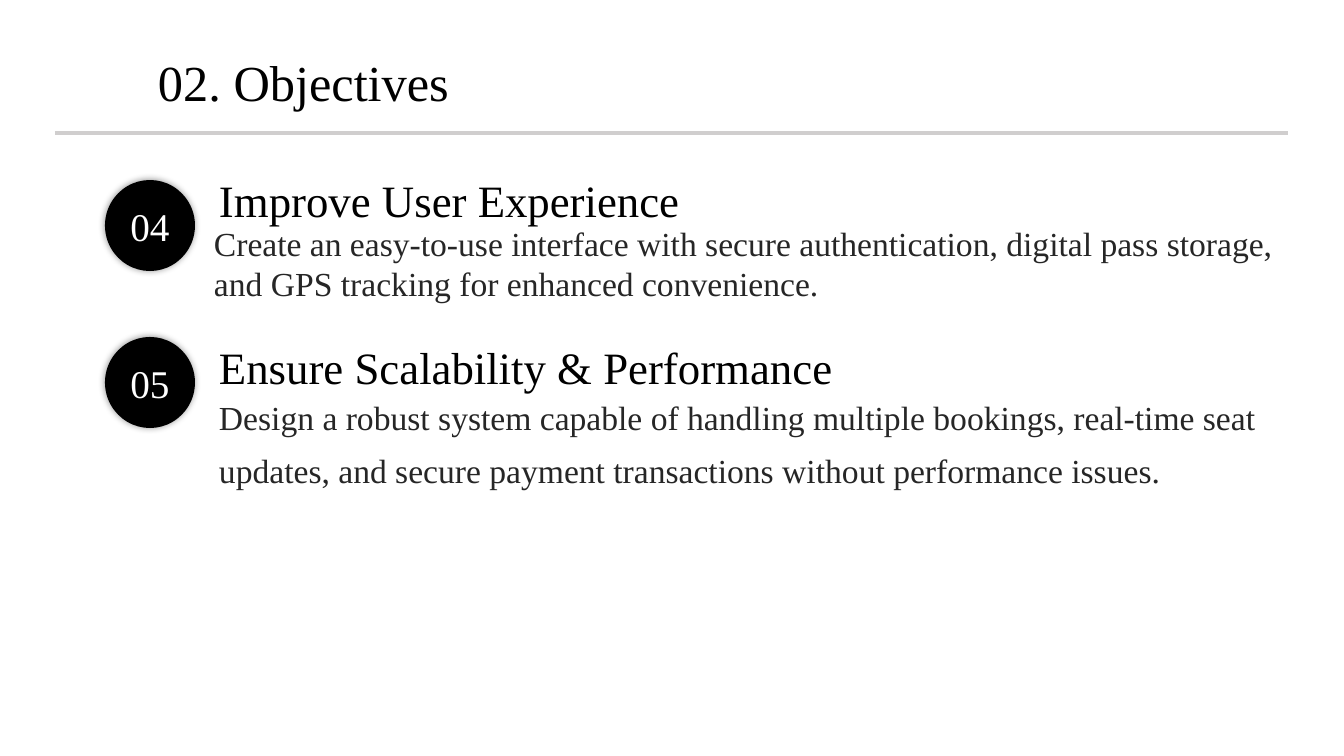
"""Build the objectives slide with its numbered goals."""
from lxml import etree
from pptx import Presentation
from pptx import util as u
from pptx.dml.color import RGBColor
from pptx.enum import shapes, text
from pptx.oxml.ns import qn

HEADING = "02. Objectives"
GOALS = [
    {"number": "04", "name": "Improve User Experience",
     "detail": "Create an easy-to-use interface with secure authentication, "
               "digital pass storage, and GPS tracking for enhanced convenience.",
     "badge_top": 180, "name_top": 168, "detail_at": (204, 218), "spacing": 1.0},
    {"number": "05", "name": "Ensure Scalability & Performance",
     "detail": "Design a robust system capable of handling multiple bookings, "
               "real-time seat updates, and secure payment transactions "
               "without performance issues.",
     "badge_top": 337, "name_top": 335, "detail_at": (209, 380), "spacing": 1.3},
]
BLACK, WHITE, GREY, RULE = "000000", "FFFFFF", "262626", "D0CECE"
SCALE = 12192000 / 1344


def px(length):
    """Turn px into EMU."""
    return u.Emu(round(length * SCALE))


def color(code):
    """Turn a hex string into a colour."""
    return RGBColor.from_string(code)


def write(shape, words, size, ink, spacing=1.0, centred=False):
    """Put one formatted paragraph into a shape."""
    frame = shape.text_frame
    margin = 0 if centred else px(10)
    anchor = text.MSO_ANCHOR.MIDDLE if centred else text.MSO_ANCHOR.TOP
    formats = {"word_wrap": True, "auto_size": text.MSO_AUTO_SIZE.NONE,
               "vertical_anchor": anchor,
               "margin_left": margin, "margin_right": margin,
               "margin_top": margin // 2, "margin_bottom": margin // 2}
    for key, value in formats.items():
        setattr(frame, key, value)
    line = frame.paragraphs[0]
    line.alignment = text.PP_ALIGN.CENTER if centred else text.PP_ALIGN.LEFT
    line.line_spacing = spacing
    run = line.add_run()
    run.text = words
    for key, value in {"name": "Times New Roman", "size": u.Pt(size)}.items():
        setattr(run.font, key, value)
    run.font.color.rgb = color(ink)


def add_glow(shape):
    """Give a shape a soft shadow."""
    shape.shadow.inherit = False
    effects = shape._element.spPr.find(qn("a:effectLst"))
    shadow = etree.SubElement(effects, qn("a:outerShdw"),
                              blurRad=str(u.Pt(5)), dist="0", dir="0")
    tone = etree.SubElement(shadow, qn("a:srgbClr"), val=BLACK)
    etree.SubElement(tone, qn("a:alpha"), val="40000")


def add_goal(slide, goal):
    """Add a numbered badge, a goal name and its detail."""
    badge = slide.shapes.add_shape(shapes.MSO_SHAPE.OVAL, px(105),
                                   px(goal["badge_top"]), px(90), px(91))
    badge.fill.solid()
    badge.fill.fore_color.rgb = color(BLACK)
    badge.line.fill.background()
    add_glow(badge)
    write(badge, goal["number"], 28, WHITE, centred=True)
    name = slide.shapes.add_textbox(px(209), px(goal["name_top"]), px(860), px(60))
    write(name, goal["name"], 32, BLACK)
    left, top = goal["detail_at"]
    detail = slide.shapes.add_textbox(px(left), px(top), px(1089), px(116))
    write(detail, goal["detail"], 24, GREY, goal["spacing"])


def main():
    """Build and save the slide."""
    deck = Presentation()
    deck.slide_width, deck.slide_height = px(1344), px(756)
    slide = deck.slides.add_slide(deck.slide_layouts[5])
    divider = slide.shapes.add_connector(shapes.MSO_CONNECTOR.STRAIGHT,
                                         px(55), px(133), px(1288), px(133))
    divider.line.color.rgb = color(RULE)
    divider.line.width = u.Pt(2.25)
    etree.SubElement(divider._element.spPr, qn("a:effectLst"))
    title = slide.shapes.title
    place = {"left": 148, "top": 46, "width": 626, "height": 72}
    for key, value in place.items():
        setattr(title, key, px(value))
    write(title, HEADING, 36, BLACK)
    for goal in GOALS:
        add_goal(slide, goal)
    deck.save("out.pptx")


if __name__ == "__main__":
    main()
